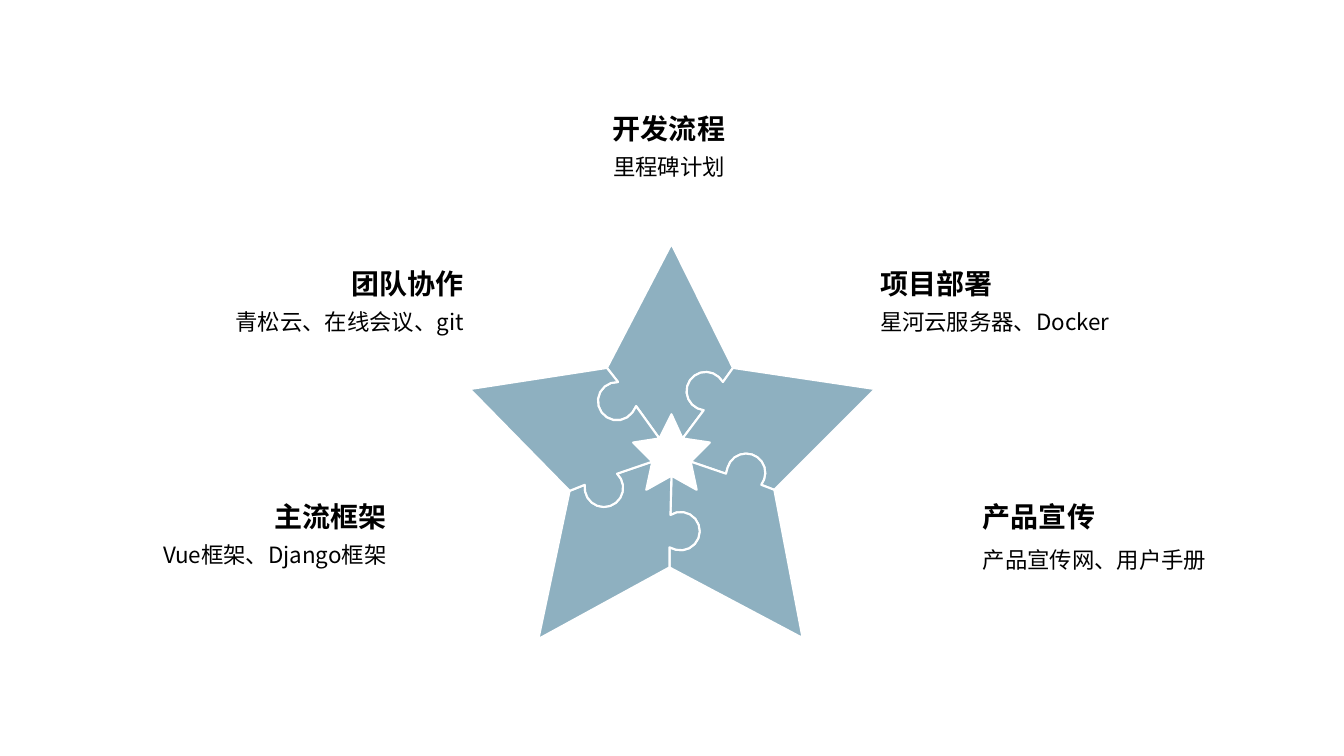
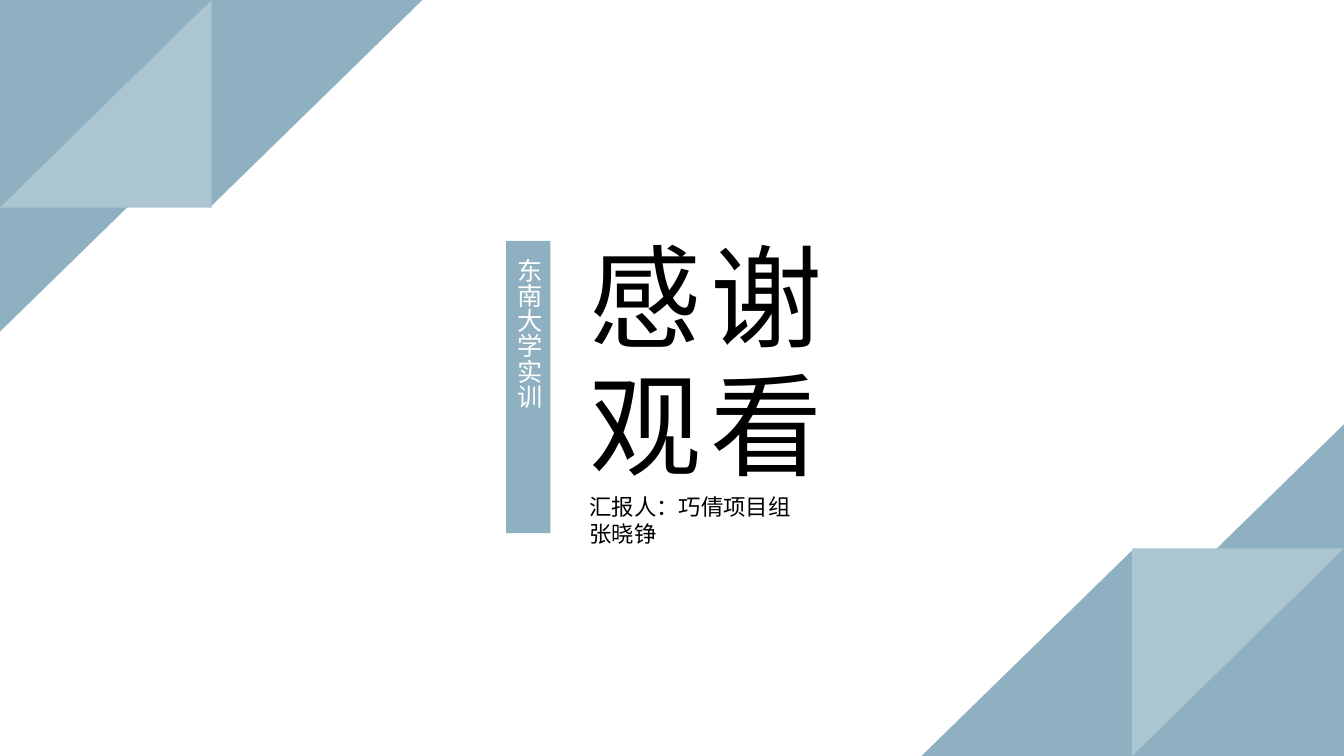
"""Build a puzzle-star overview slide and a closing slide."""
from math import atan2, cos, pi, sin

from lxml.etree import SubElement
from pptx import Presentation
from pptx.dml.color import RGBColor
from pptx.enum.shapes import MSO_SHAPE as SHAPE
from pptx.enum.text import MSO_AUTO_SIZE as AUTO, PP_ALIGN as ALIGN
from pptx.oxml.ns import qn
from pptx.util import Inches, Pt

BLUE, PALE, WHITE, BLACK = "8EB0C0", "ABC5D1", "FFFFFF", "000000"
HEAVY, BODY = "Noto Sans CJK JP", "Noto Sans CJK SC"
WIDTH, HEIGHT = 13.33, 7.5


def paint(shape, fill, line=None):
    shape.shadow.inherit = False
    shape.fill.solid()
    shape.fill.fore_color.rgb = RGBColor.from_string(fill)
    if line:
        shape.line.color.rgb = RGBColor.from_string(line)
        shape.line.width = Pt(1.5)
    else:
        shape.line.fill.background()


def add_text(shapes, at, lines, align, wrap=True, color=BLACK):
    box = shapes.add_textbox(*map(Inches, at))
    frame = box.text_frame
    frame.text = "\n".join(line[0] for line in lines)
    frame.word_wrap = wrap
    frame.auto_size = AUTO.SHAPE_TO_FIT_TEXT
    for para, (_, size, face, bold, spacing) in zip(frame.paragraphs, lines):
        para.alignment = align
        para.line_spacing = spacing
        for span in para.runs:
            span.font.size = Pt(size)
            span.font.name = face
            span.font.bold = bold
            span.font.color.rgb = RGBColor.from_string(color)
            SubElement(span.font._element, qn("a:ea")).set("typeface", face)
    return box


deck = Presentation()
deck.slide_width, deck.slide_height = Inches(WIDTH), Inches(HEIGHT)
blank = deck.slide_layouts[6]

page = deck.slides.add_slide(blank)
outer_tips = [(6.66, 2.42), (8.68, 3.86), (7.96, 6.33), (5.34, 6.34), (4.66, 3.86)]
inner_tips = [(6.66, 4.11), (7.04, 4.39), (6.91, 4.86), (6.41, 4.86), (6.28, 4.39)]
seam_parts = [
    ((7.27, 3.65), (7.17, 3.79), (7.0, 3.88), (6.98, 4.07), (6.77, 4.35)),
    ((7.68, 4.86), (7.55, 4.81), (7.4, 4.69), (7.2, 4.7), (6.85, 4.58)),
    ((6.64, 5.63), (6.64, 5.43), (6.75, 5.27), (6.65, 5.11), (6.66, 4.72)),
    ((5.65, 4.87), (5.8, 4.81), (5.99, 4.84), (6.12, 4.7), (6.47, 4.58)),
    ((6.02, 3.65), (6.13, 3.79), (6.12, 3.98), (6.31, 4.03), (6.54, 4.35)),
]
KNOB_RADIUS, ARC_STEPS = 0.19, 12

seams = []
for valley, neck_in, (cx, cy), neck_out, core in seam_parts:
    start = atan2(neck_in[1] - cy, neck_in[0] - cx)
    end = atan2(neck_out[1] - cy, neck_out[0] - cx)
    sweep = (start - end) % (2 * pi)
    angles = [start - sweep * step / ARC_STEPS for step in range(1, ARC_STEPS)]
    knob = [(cx + KNOB_RADIUS * cos(a), cy + KNOB_RADIUS * sin(a)) for a in angles]
    seams.append([valley, neck_in, *knob, neck_out, core])

star = page.shapes.add_group_shape()
for index, (outer, inner) in enumerate(zip(outer_tips, inner_tips)):
    outline = [outer, *seams[index], inner, *reversed(seams[index - 1])]
    points = [(Inches(x), Inches(y)) for x, y in outline]
    builder = star.shapes.build_freeform(*points[0])
    builder.add_line_segments(points[1:], close=True)
    paint(builder.convert_to_shape(), BLUE, WHITE)

topics = [
    ((1.91, 2.43, 2.79, 0.93), "团队协作", "青松云、在线会议、git", ALIGN.RIGHT, 1.3),
    ((1.14, 4.74, 2.79, 0.93), "主流框架", "Vue框架、Django框架", ALIGN.RIGHT, 1.3),
    ((8.63, 2.43, 3.56, 0.92), "项目部署", "星河云服务器、Docker", ALIGN.LEFT, 1.3),
    ((9.65, 4.74, 2.79, 0.97), "产品宣传", "产品宣传网、用户手册", ALIGN.LEFT, 1.5),
    ((5.24, 0.89, 2.79, 0.92), "开发流程", "里程碑计划", ALIGN.CENTER, 1.3),
]
for at, title, detail, align, spacing in topics:
    lines = [(title, 20, HEAVY, True, 1.5), (detail, 16, BODY, False, spacing)]
    add_text(page.shapes, at, lines, align)

page = deck.slides.add_slide(blank)
triangles = [
    (0, 3.37, 3.29, "flipV", "flipH", BLUE),
    (2.08, 2.11, 2.06, "flipV", "flipH", BLUE),
    (0, 2.1, 2.06, "flipH", "flipV", PALE),
]
for at_bottom in (False, True):
    corner = page.shapes.add_group_shape()
    for left, width, height, top_flip, bottom_flip, color in triangles:
        x = WIDTH - left - width if at_bottom else left
        y = HEIGHT - height if at_bottom else 0
        triangle = corner.shapes.add_shape(
            SHAPE.RIGHT_TRIANGLE, Inches(x), Inches(y), Inches(width), Inches(height))
        flip = bottom_flip if at_bottom else top_flip
        triangle._element.spPr.find(qn("a:xfrm")).set(flip, "1")
        paint(triangle, color)

closing = page.shapes.add_group_shape().shapes
banner = closing.add_shape(
    SHAPE.RECTANGLE, Inches(5.02), Inches(2.39), Inches(0.44), Inches(2.9))
paint(banner, BLUE)

course = add_text(closing, (5.1, 2.56, 0.3, 2.51),
                  [("东南大学实训", 18, HEAVY, False, None)], ALIGN.JUSTIFY, color=WHITE)
frame = course.text_frame
frame.margin_left = frame.margin_right = frame.margin_top = frame.margin_bottom = 0
frame._txBody.bodyPr.set("vert", "eaVert")

for top, words in ((2.21, "感谢"), (3.48, "观看")):
    thanks = add_text(closing, (5.7, top, 2.61, 1.45),
                      [(words, 80, HEAVY, False, None)], ALIGN.CENTER, wrap=False)
    thanks.text_frame.paragraphs[0].runs[0].font._element.set("spc", "600")

presenters = [(words, 16, HEAVY, False, None) for words in ("汇报人：巧倩项目组", "张晓铮")]
add_text(closing, (5.75, 4.84, 2.46, 0.64), presenters, ALIGN.JUSTIFY)

deck.save("out.pptx")
